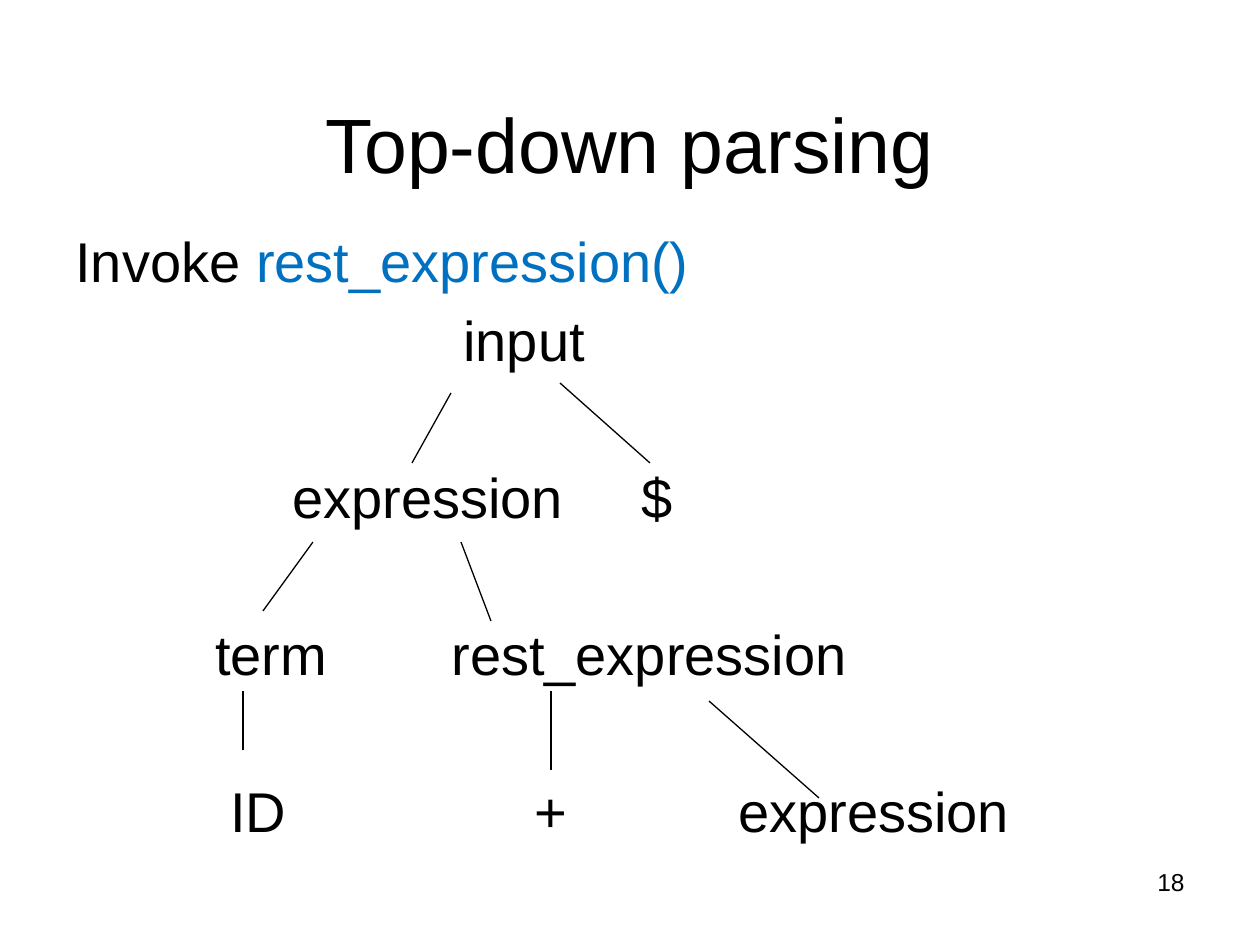
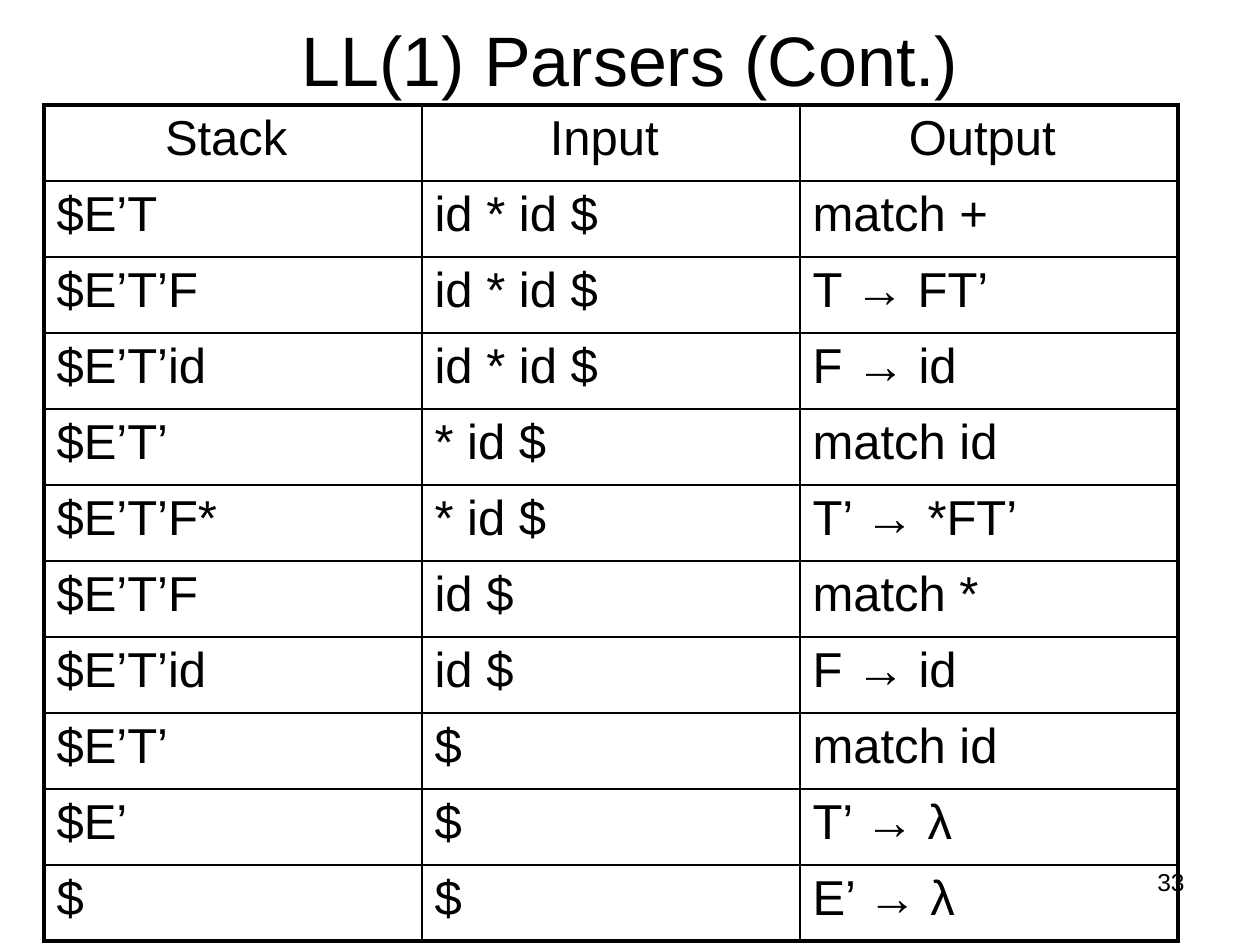
"""Build two parsing slides: a parse tree and an LL(1) trace table."""
import lxml.etree
import pptx
import pptx.dml.color
import pptx.enum.shapes
import pptx.enum.text
import pptx.oxml.ns
import pptx.util

EMU_PER_PX = 914400 / 126
BLACK = pptx.dml.color.RGBColor(0x00, 0x00, 0x00)
BLUE = pptx.dml.color.RGBColor(0x00, 0x70, 0xC0)
FONT = "Arial"
ALIGN = pptx.enum.text.PP_ALIGN
ANCHOR = pptx.enum.text.MSO_ANCHOR
THIN, THICK = 1, 2.25
FIRST_GAP, LEVEL_GAP = 6.8, 51.3

TREE_ROWS = [
    ("\tinput", [388], FIRST_GAP),
    ("\texpression\t$", [217, 566], LEVEL_GAP),
    ("\tterm\trest_expression", [140, 376], LEVEL_GAP),
    ("\tID\t+\texpression", [155, 459, 663], LEVEL_GAP),
]
TREE_BRANCHES = [
    (451, 393, 412, 463),
    (560, 383, 650, 463),
    (313, 542, 263, 611),
    (461, 542, 491, 621),
    (243, 691, 243, 750),
    (551, 691, 551, 770),
    (709, 701, 819, 798),
]
TRACE_ROWS = [
    ("Stack ", "Input ", "Output "),
    ("$E’T", "id * id $", "match +"),
    ("$E’T’F", "id * id $", "T → FT’"),
    ("$E’T’id", "id * id $", "F → id"),
    ("$E’T’", "* id $", "match id"),
    ("$E’T’F*", "* id $", "T’ → *FT’"),
    ("$E’T’F", "id $", "match *"),
    ("$E’T’id", "id $", "F → id"),
    ("$E’T’", "$", "match id"),
    ("$E’", "$", "T’ → λ"),
    ("$", "$", "E’ → λ"),
]


def px(length):
    """Turn px into EMU."""
    return pptx.util.Emu(round(length * EMU_PER_PX))


def add_element(parent, tag, **attributes):
    """Append a DrawingML element."""
    values = {name: str(value) for name, value in attributes.items()}
    return lxml.etree.SubElement(parent, pptx.oxml.ns.qn(tag), values)


def write_text(paragraph, text, size=32, color=BLACK, align=ALIGN.LEFT, before=0):
    """Add one formatted run to a paragraph."""
    paragraph.alignment = align
    paragraph.space_before = pptx.util.Pt(before)
    run = paragraph.add_run()
    run.text = text
    run.font.name = FONT
    run.font.size = pptx.util.Pt(size)
    run.font.color.rgb = color


def set_tab_stops(paragraph, stops):
    """Set left tab stops given in px."""
    tab_list = add_element(paragraph._p.get_or_add_pPr(), "a:tabLst")
    for stop in stops:
        add_element(tab_list, "a:tab", pos=px(stop), algn="l")


def set_borders(cell, **widths):
    """Draw the four cell borders, with widths in points."""
    properties = cell._tc.get_or_add_tcPr()
    for side, width in widths.items():
        line = add_element(properties, f"a:ln{side}", w=pptx.util.Pt(width))
        add_element(add_element(line, "a:solidFill"), "a:srgbClr", val=BLACK)


class Deck:
    """Hold the presentation style and the current slide."""

    def __init__(self):
        """Start a presentation with 4:3 slides."""
        self.presentation = pptx.Presentation()
        self.presentation.slide_width = px(1260)
        self.presentation.slide_height = px(945)
        self.slide = None

    def add_slide(self, title, size, height, number):
        """Start a slide with its title and page number."""
        self.slide = self.presentation.slides.add_slide(self.presentation.slide_layouts[5])
        shape = self.slide.shapes.title
        shape.left, shape.top, shape.width, shape.height = map(px, (63, 38, 1134, height))
        frame = shape.text_frame
        frame.auto_size = pptx.enum.text.MSO_AUTO_SIZE.NONE
        frame.vertical_anchor = ANCHOR.BOTTOM
        write_text(frame.paragraphs[0], title, size=size, align=ALIGN.CENTER)
        number_frame = self.add_text_box(903, 861, 294, 65)
        write_text(number_frame.paragraphs[0], number, size=14, align=ALIGN.RIGHT)

    def add_text_box(self, left, top, width, height):
        """Add a wrapping text box and return its text frame."""
        shape = self.slide.shapes.add_textbox(*map(px, (left, top, width, height)))
        shape.text_frame.word_wrap = True
        return shape.text_frame

    def add_line(self, *ends):
        """Draw a thin straight line between two points."""
        straight = pptx.enum.shapes.MSO_CONNECTOR.STRAIGHT
        connector = self.slide.shapes.add_connector(straight, *map(px, ends))
        connector.line.color.rgb = BLACK
        connector.line.width = pptx.util.Pt(0.75)
        add_element(connector._element.spPr, "a:effectLst")

    def add_table(self, rows, left, top, column_width, row_height):
        """Add a ruled table with a centred header row."""
        last_row, last_column = len(rows) - 1, len(rows[0]) - 1
        size = (column_width * len(rows[0]), row_height * len(rows))
        frame = self.slide.shapes.add_table(
            len(rows), len(rows[0]), *map(px, (left, top, *size)))
        table = frame.table
        table.first_row = table.horz_banding = False
        for row_index, row in enumerate(rows):
            table.rows[row_index].height = px(row_height)
            for column_index, text in enumerate(row):
                cell = table.cell(row_index, column_index)
                cell.margin_top = px(6)
                align = ALIGN.LEFT if row_index else ALIGN.CENTER
                write_text(cell.text_frame.paragraphs[0], text, size=28, align=align)
                set_borders(
                    cell,
                    L=THIN if column_index else THICK,
                    R=THICK if column_index == last_column else THIN,
                    T=THIN if row_index else THICK,
                    B=THICK if row_index == last_row else THIN,
                )
                cell.fill.background()


def build_parse_tree(deck):
    """Build the parse tree slide."""
    deck.add_slide("Top-down parsing", size=44, height=157, number="18")
    frame = deck.add_text_box(63, 220, 1134, 624)
    frame.margin_top = px(6)
    write_text(frame.paragraphs[0], "Invoke ")
    write_text(frame.paragraphs[0], "rest_expression()", color=BLUE)
    for text, stops, before in TREE_ROWS:
        paragraph = frame.add_paragraph()
        write_text(paragraph, text, before=before)
        set_tab_stops(paragraph, stops)
    for branch in TREE_BRANCHES:
        deck.add_line(*branch)


def build_trace_table(deck):
    """Build the parser trace slide."""
    deck.add_slide("LL(1) Parsers (Cont.)", size=40, height=69, number="33")
    deck.add_table(TRACE_ROWS, left=44, top=105, column_width=378, row_height=76)


def main():
    """Build and save the presentation."""
    deck = Deck()
    build_parse_tree(deck)
    build_trace_table(deck)
    deck.presentation.save("out.pptx")


if __name__ == "__main__":
    main()
